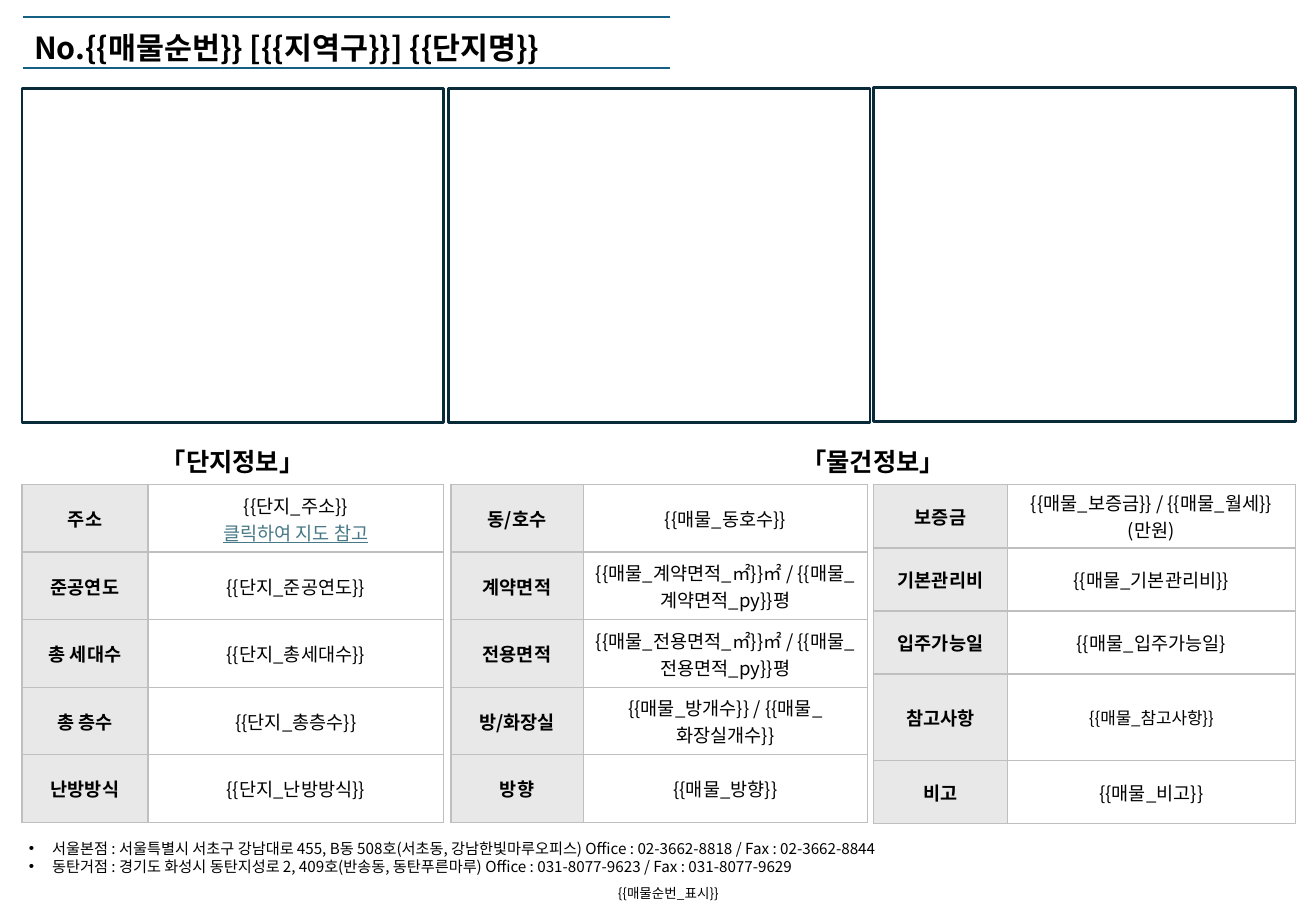
from lxml import etree
from pptx import Presentation
from pptx.dml.color import RGBColor
from pptx.enum import shapes, text
from pptx.oxml import ns
from pptx.util import Inches, Pt

FONT = "Noto Sans CJK KR"
LEFT, MIDDLE, RIGHT = 0.18, 3.71, 7.19
WIDTH = 3.47


def color(value):
    return RGBColor.from_string(value)


def write(para, words, size, bold=False, ink="000000", align=text.PP_ALIGN.CENTER):
    para.alignment = align
    span = para.add_run()
    span.text = words
    span.font.name = FONT
    span.font.size = Pt(size)
    span.font.bold = bold
    span.font.color.rgb = color(ink)
    east = etree.SubElement(span.font._element, ns.qn("a:ea"))
    east.set("typeface", FONT)
    return span


deck = Presentation()
deck.slide_width = Inches(10.83)
deck.slide_height = Inches(7.5)
page = deck.slides.add_slide(deck.slide_layouts[6])

for x, y in ((LEFT, 0.73), (3.69, 0.73), (RIGHT, 0.72)):
    frame = page.shapes.add_shape(
        shapes.MSO_SHAPE.RECTANGLE, Inches(x), Inches(y), Inches(WIDTH), Inches(2.75))
    frame.shadow.inherit = False
    frame.fill.background()
    frame.line.color.rgb = color("092A39")
    frame.line.width = Pt(1.5)

captions = [
    ("「단지정보」", LEFT, 3.62, WIDTH, 0.35, 15, True),
    ("「물건정보」", MIDDLE, 3.62, 6.95, 0.35, 15, True),
    ("{{매물순번_표시}}", 4.41, 7.23, 2.18, 0.24, 8, False),
]
for words, x, y, width, height, size, bold in captions:
    box = page.shapes.add_textbox(Inches(x), Inches(y), Inches(width), Inches(height))
    box.text_frame.word_wrap = True
    box.text_frame.vertical_anchor = text.MSO_ANCHOR.MIDDLE
    write(box.text_frame.paragraphs[0], words, size, bold)

heading_rows = [("No.{{매물순번}} [{{지역구}}] {{단지명}}",)]
complex_rows = [
    ("주소", "{{단지_주소}}"),
    ("준공연도", "{{단지_준공연도}}"),
    ("총 세대수", "{{단지_총세대수}}"),
    ("총 층수", "{{단지_총층수}}"),
    ("난방방식", "{{단지_난방방식}}"),
]
unit_rows = [
    ("동/호수", "{{매물_동호수}}"),
    ("계약면적", "{{매물_계약면적_㎡}}㎡ / {{매물_계약면적_py}}평"),
    ("전용면적", "{{매물_전용면적_㎡}}㎡ / {{매물_전용면적_py}}평"),
    ("방/화장실", "{{매물_방개수}} / {{매물_화장실개수}}"),
    ("방향", "{{매물_방향}}"),
]
price_rows = [
    ("보증금", "{{매물_보증금}} / {{매물_월세}} (만원)"),
    ("기본관리비", "{{매물_기본관리비}}"),
    ("입주가능일", "{{매물_입주가능일}"),
    ("참고사항", "{{매물_참고사항}}"),
    ("비고", "{{매물_비고}}"),
]
even_heights = [2.78 / 5] * 5
tables = [
    (LEFT, 0.14, (5.34,), [0.42], heading_rows),
    (LEFT, 3.99, (1.04, 2.43), even_heights, complex_rows),
    (MIDDLE, 3.99, (1.09, 2.34), even_heights, unit_rows),
    (RIGHT, 3.99, (1.1, 2.37), [0.52, 0.52, 0.52, 0.71, 0.52], price_rows),
]
for x, y, widths, heights, rows in tables:
    heading = rows is heading_rows
    sides = ("lnT", "lnB") if heading else ("lnL", "lnR", "lnT", "lnB")
    table = page.shapes.add_table(
        len(rows), len(widths), Inches(x), Inches(y),
        Inches(sum(widths)), Inches(sum(heights))).table
    table.first_row = table.horz_banding = False
    for column, width in zip(table.columns, widths):
        column.width = Inches(width)
    for row, height, entries in zip(table.rows, heights, rows):
        row.height = Inches(height)
        for index, (cell, words) in enumerate(zip(row.cells, entries)):
            cell.vertical_anchor = text.MSO_ANCHOR.MIDDLE
            cell.margin_top = Inches(0.06 if heading else 0.03)
            cell.margin_bottom = Inches(0 if heading else 0.03)
            size = 18 if heading else 10 if words == "{{매물_참고사항}}" else 11
            align = text.PP_ALIGN.LEFT if heading else text.PP_ALIGN.CENTER
            write(cell.text_frame.paragraphs[0], words, size, index == 0, align=align)
            properties = cell._tc.get_or_add_tcPr()
            for side in sides:
                border = etree.SubElement(properties, ns.qn(f"a:{side}"), w=str(Pt(1)))
                paint = etree.SubElement(border, ns.qn("a:solidFill"))
                etree.SubElement(paint, ns.qn("a:srgbClr"), val="156082" if heading else "BFBFBF")
            if index == 0 and not heading:
                cell.fill.solid()
                cell.fill.fore_color.rgb = color("E8E8E8")
            else:
                cell.fill.background()
            if words == "{{단지_주소}}":
                hint = write(cell.text_frame.add_paragraph(), "클릭하여 지도 참고", 11, ink="467886")
                hint.font.underline = True

offices = [
    "서울본점 : 서울특별시 서초구 강남대로 455, B동 508호(서초동, 강남한빛마루오피스)"
    " Office : 02-3662-8818 / Fax : 02-3662-8844",
    "동탄거점 : 경기도 화성시 동탄지성로 2, 409호(반송동, 동탄푸른마루)"
    " Office : 031-8077-9623 / Fax : 031-8077-9629",
]
footer = page.shapes.add_textbox(Inches(0.14), Inches(6.86), Inches(9.18), Inches(0.4))
footer.text_frame.word_wrap = True
footer.text_frame.vertical_anchor = text.MSO_ANCHOR.MIDDLE
for index, office in enumerate(offices):
    para = footer.text_frame.add_paragraph() if index else footer.text_frame.paragraphs[0]
    write(para, office, 9, align=text.PP_ALIGN.LEFT)
    layout = para._p.get_or_add_pPr()
    layout.set("marL", str(Inches(0.19)))
    layout.set("indent", str(-Inches(0.19)))
    etree.SubElement(layout, ns.qn("a:buFont"), typeface="Arial")
    etree.SubElement(layout, ns.qn("a:buChar"), char="•")

deck.save("out.pptx")
